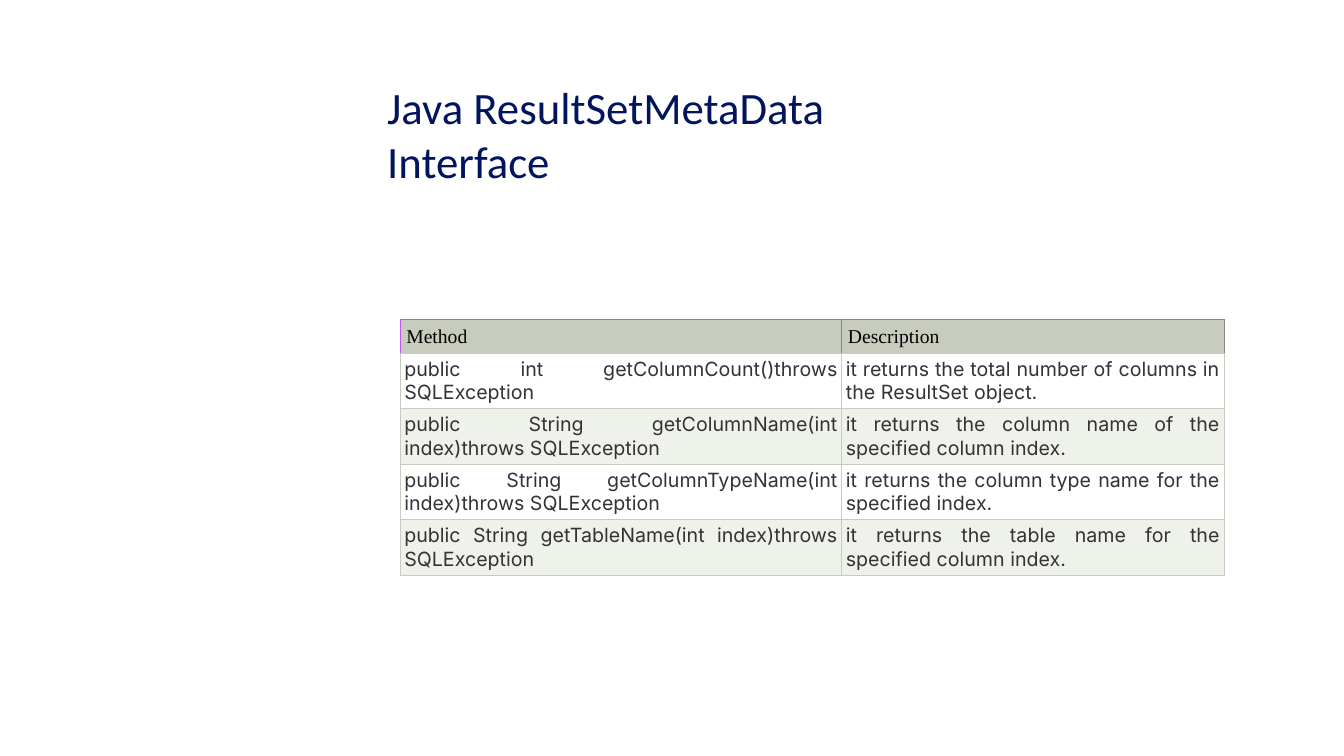
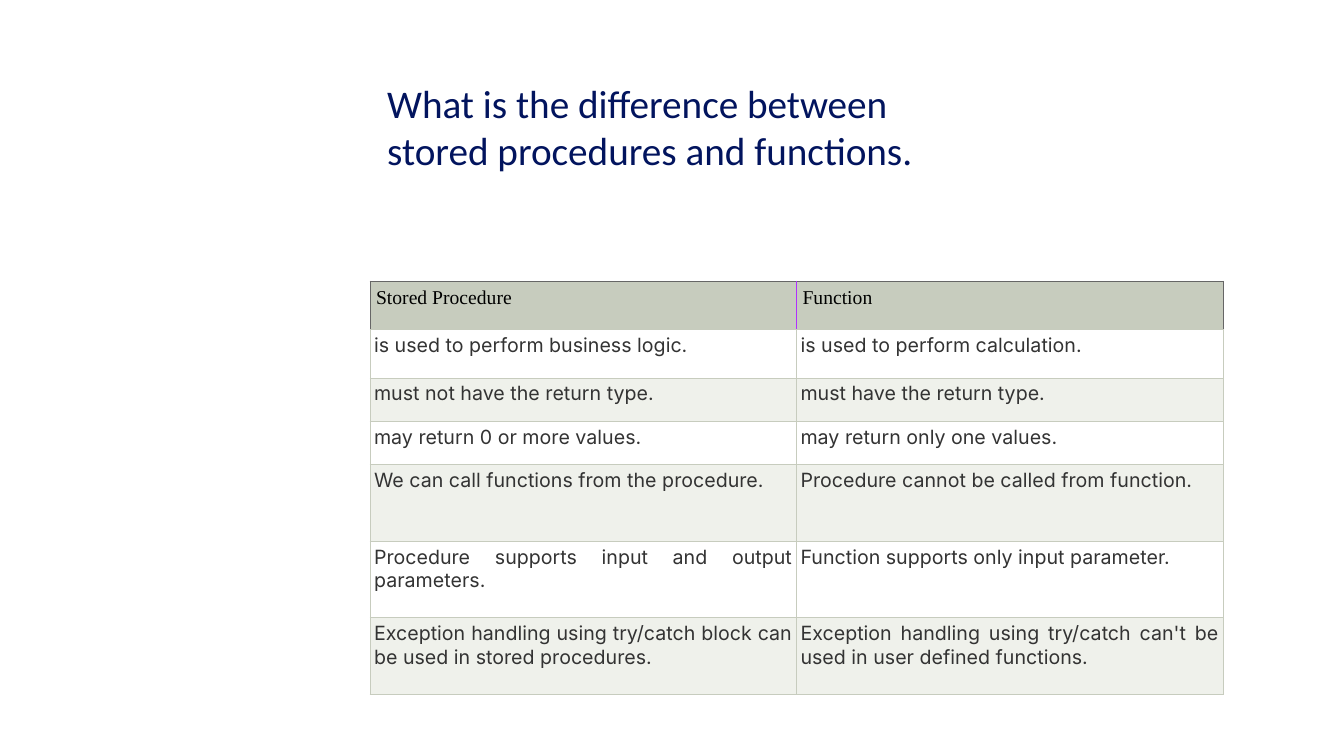
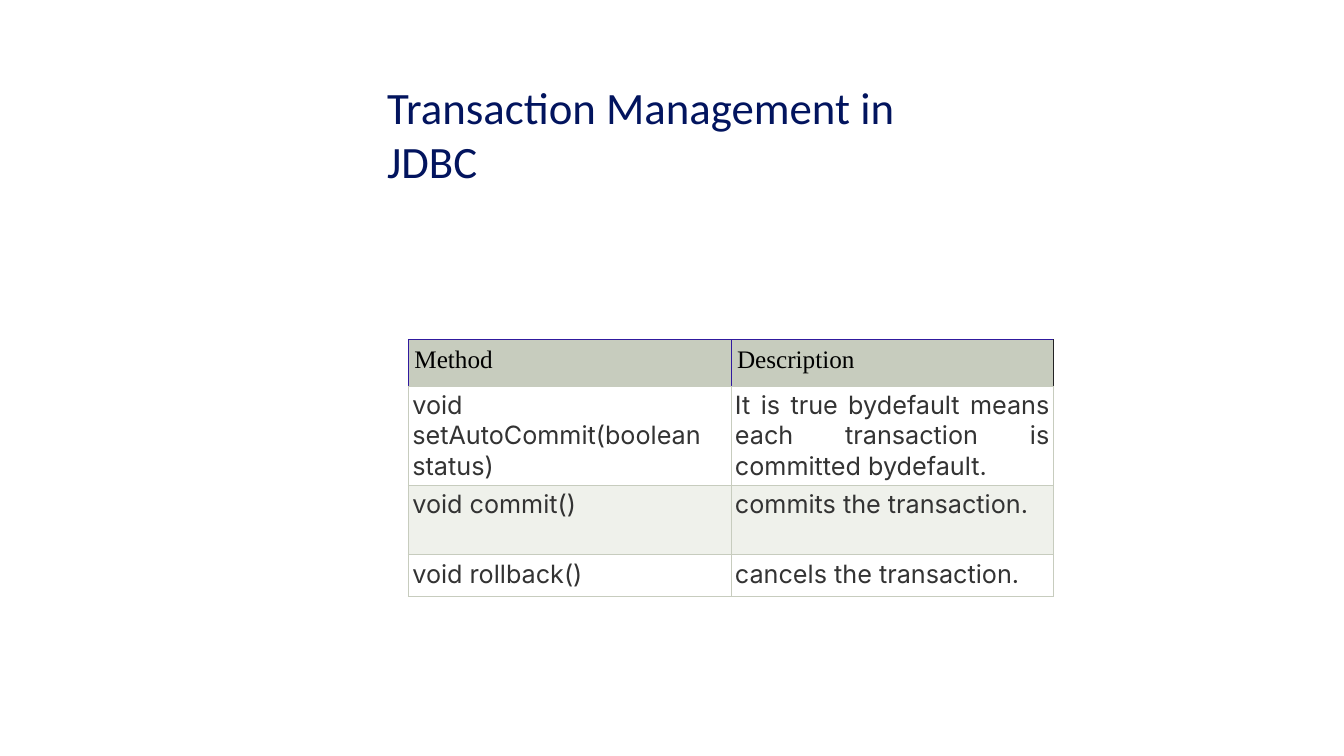
from lxml import etree
from pptx import Presentation
from pptx.dml.color import RGBColor
from pptx.enum import text
from pptx.oxml import ns
from pptx.util import Inches, Pt

COLORS = {
    "title": "02145E", "header_text": "000000", "body_text": "333333",
    "header": "C7CCBE", "grid": "C7CCBE", "plain": "FFFFFF", "band": "EFF1EB",
    "orchid": "C058F1", "violet": "B031FD", "indigo": "301A9F",
    "gray": "888888", "slate": "666666", "ink": "222222",
}
TITLE_BOX = (3.84, 0.79, 5.67, 0.99)
TITLE_ONLY_LAYOUT = 5


def rgb(name):
    return RGBColor.from_string(COLORS[name])


def set_font(paragraph, name, size, color):
    font = paragraph.font
    font.name, font.size, font.bold = name, Pt(size), False
    font.color.rgb = rgb(color)


def set_borders(cell, left, right, top, bottom):
    properties = cell._tc.get_or_add_tcPr()
    edges = zip(("lnL", "lnR", "lnT", "lnB"), (left, right, top, bottom))
    for position, (tag, color) in enumerate(edges):
        line = etree.Element(ns.qn("a:" + tag), w=str(Pt(0.75)))
        fill = etree.SubElement(line, ns.qn("a:solidFill"))
        etree.SubElement(fill, ns.qn("a:srgbClr"), val=COLORS[color])
        properties.insert(position, line)


def add_titled_slide(presentation, title, size):
    layout = presentation.slide_layouts[TITLE_ONLY_LAYOUT]
    slide = presentation.slides.add_slide(layout)
    shape = slide.shapes.title
    shape.left, shape.top, shape.width, shape.height = map(Inches, TITLE_BOX)
    frame = shape.text_frame
    frame.text = title
    frame.word_wrap = True
    frame.auto_size = text.MSO_AUTO_SIZE.NONE
    frame.vertical_anchor = text.MSO_ANCHOR.TOP
    frame.margin_left = frame.margin_right = 0
    frame.margin_top = frame.margin_bottom = 0
    paragraph = frame.paragraphs[0]
    paragraph.alignment = text.PP_ALIGN.LEFT
    set_font(paragraph, "Calibri", size, "title")
    return slide


def fill_cell(cell, content, size, is_header, fill):
    margin = Inches(0.06 if is_header else 0.04)
    cell.margin_left = cell.margin_right = margin
    cell.margin_top = cell.margin_bottom = margin
    cell.fill.solid()
    cell.fill.fore_color.rgb = rgb(fill)
    cell.text = content
    paragraph = cell.text_frame.paragraphs[0]
    if is_header:
        set_font(paragraph, "Times New Roman", size, "header_text")
    else:
        paragraph.alignment = text.PP_ALIGN.JUSTIFY
        set_font(paragraph, "Inter", size, "body_text")


def add_comparison_table(slide, origin, widths, heights, rows, size,
                         header_top, header_sides):
    """header_sides colours the header's vertical edges from left to right."""
    left, top = origin
    table = slide.shapes.add_table(
        len(rows), len(widths), Inches(left), Inches(top),
        Inches(sum(widths)), Inches(sum(heights))).table
    table.first_row = table.horz_banding = False
    for column, width in zip(table.columns, widths):
        column.width = Inches(width)
    for row_index, (row, height) in enumerate(zip(rows, heights)):
        table.rows[row_index].height = Inches(height)
        is_header = row_index == 0
        if is_header:
            fill = "header"
        else:
            fill = "plain" if row_index % 2 else "band"
        for column_index, content in enumerate(row):
            cell = table.cell(row_index, column_index)
            fill_cell(cell, content, size, is_header, fill)
            if is_header:
                sides = header_sides[column_index:column_index + 2]
                set_borders(cell, *sides, header_top, "grid")
            else:
                set_borders(cell, "grid", "grid", "grid", "grid")


def main():
    presentation = Presentation()
    presentation.slide_width = Inches(13.33)
    presentation.slide_height = Inches(7.5)

    slide = add_titled_slide(presentation, "Java ResultSetMetaData Interface", 32)
    add_comparison_table(
        slide, (3.97, 3.17), (4.38, 3.79), [0.33] + [0.54] * 4,
        [("Method", "Description"),
         ("public int getColumnCount()throws SQLException",
          "it returns the total number of columns in the ResultSet object."),
         ("public String getColumnName(int index)throws SQLException",
          "it returns the column name of the specified column index."),
         ("public String getColumnTypeName(int index)throws SQLException",
          "it returns the column type name for the specified index."),
         ("public String getTableName(int index)throws SQLException",
          "it returns the table name for the specified column index.")],
        14, "gray", ("orchid", "gray", "gray"))

    slide = add_titled_slide(
        presentation,
        "What is the difference between stored procedures and functions.", 28)
    add_comparison_table(
        slide, (3.67, 2.79), (4.23, 4.23),
        [0.48] * 2 + [0.43] * 2 + [0.76] * 3,
        [("Stored Procedure", "Function"),
         ("is used to perform business logic.",
          "is used to perform calculation."),
         ("must not have the return type.", "must have the return type."),
         ("may return 0 or more values.", "may return only one values."),
         ("We can call functions from the procedure.",
          "Procedure cannot be called from function."),
         ("Procedure supports input and output parameters.",
          "Function supports only input parameter."),
         ("Exception handling using try/catch block can be used in stored "
          "procedures.",
          "Exception handling using try/catch can't be used in user defined "
          "functions.")],
        14, "slate", ("slate", "violet", "slate"))

    slide = add_titled_slide(presentation, "Transaction Management in JDBC", 32)
    add_comparison_table(
        slide, (4.05, 3.37), (3.2, 3.2), (0.46, 0.98, 0.69, 0.41),
        [("Method", "Description"),
         ("void setAutoCommit(boolean status)",
          "It is true bydefault means each transaction is committed bydefault."),
         ("void commit()", "commits the transaction."),
         ("void rollback()", "cancels the transaction.")],
        18, "indigo", ("indigo", "indigo", "ink"))

    presentation.save("out.pptx")


if __name__ == "__main__":
    main()
